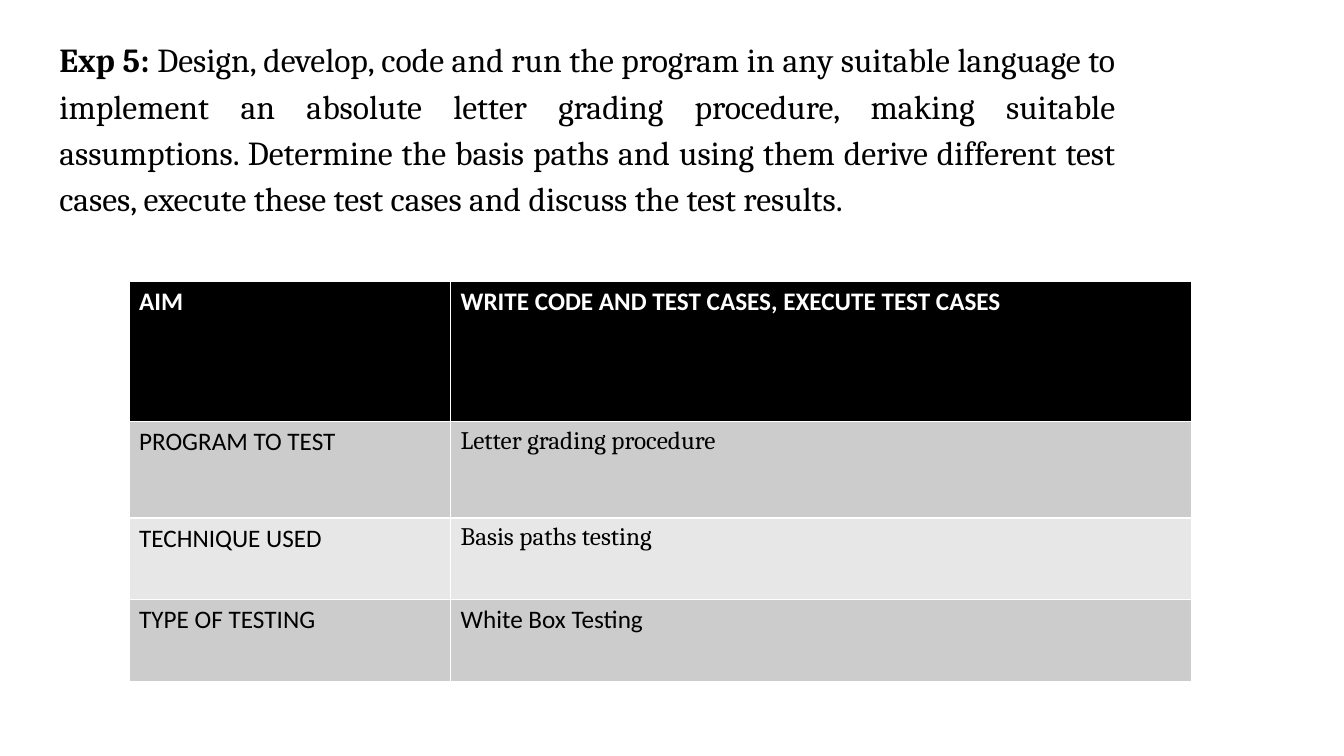
"""Build the Experiment 5 slide: the task statement above a summary table."""
from pptx import Presentation
from pptx import util as u
from pptx.dml.color import RGBColor
from pptx.enum import text

THEME = {
    "black": RGBColor(0x00, 0x00, 0x00),
    "white": RGBColor(0xFF, 0xFF, 0xFF),
    "bands": [RGBColor(0xE7, 0xE7, 0xE7), RGBColor(0xCC, 0xCC, 0xCC)],
    "serif": "Cambria",
    "sans": "Calibri",
    "task": u.Pt(24),
    "cell": u.Pt(18),
}
COLS = [3.19, 7.35]
ROWS = [1.39, 0.96, 0.81, 0.81]
CELLS = [
    [("AIM", "sans"), ("WRITE CODE AND TEST CASES, EXECUTE TEST CASES", "sans")],
    [("PROGRAM TO TEST", "sans"), ("Letter grading procedure", "serif")],
    [("TECHNIQUE USED", "sans"), ("Basis paths testing", "serif")],
    [("TYPE OF TESTING", "sans"), ("White Box Testing", "sans")],
]
TASK = [
    ("Exp 5: ", True),
    ("Design, develop, code and run the program in any suitable language to "
     "implement an absolute letter grading procedure, making suitable assumptions. "
     "Determine the basis paths and using them derive different test cases, "
     "execute these test cases and discuss the test results.", False),
]


def style(font, size, face, color):
    font.size, font.name, font.color.rgb = size, THEME[face], color


prs = Presentation()
prs.slide_width, prs.slide_height = u.Inches(13.33), u.Inches(7.5)
s = prs.slides.add_slide(prs.slide_layouts[6])

sp = s.shapes.add_textbox(*map(u.Inches, (0.49, 0.28, 10.67, 4.84)))
tf = sp.text_frame
tf.word_wrap = True
p = tf.paragraphs[0]
p.alignment = text.PP_ALIGN.JUSTIFY
p.line_spacing = 1.15
style(p.font, THEME["task"], "serif", THEME["black"])
for words, bold in TASK:
    r = p.add_run()
    r.text, r.font.bold = words, bold

frame = s.shapes.add_table(len(ROWS), len(COLS),
                           *map(u.Inches, (1.28, 2.79, sum(COLS), sum(ROWS))))
tbl = frame.table
for col, width in zip(tbl.columns, COLS):
    col.width = u.Inches(width)
for i, (row, height) in enumerate(zip(tbl.rows, ROWS)):
    row.height = u.Inches(height)
    header = i == 0
    for cell, (words, face) in zip(row.cells, CELLS[i]):
        cell.text = words
        cell.fill.solid()
        cell.fill.fore_color.rgb = THEME["black"] if header else THEME["bands"][i % 2]
        p = cell.text_frame.paragraphs[0]
        style(p.font, THEME["cell"], face, THEME["white" if header else "black"])
        p.font.bold = header

prs.save("out.pptx")
